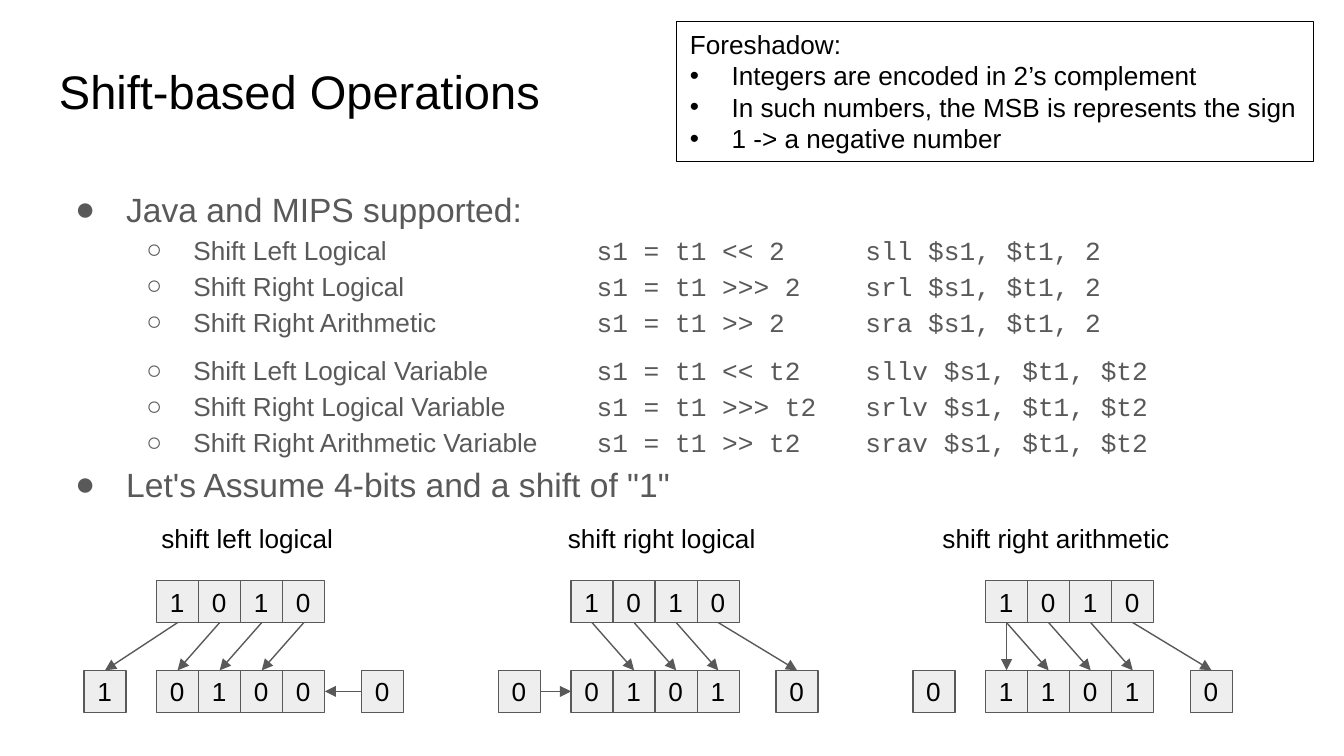
from pptx import Presentation
from pptx.dml.color import RGBColor
from pptx.enum.shapes import MSO_CONNECTOR as CONN, MSO_SHAPE as SHAPE
from pptx.enum.text import MSO_ANCHOR as ANCHOR, PP_ALIGN as ALIGN
from pptx.oxml.ns import qn
from pptx.util import Inches, Pt
from lxml.etree import SubElement

BLACK = RGBColor(0x00, 0x00, 0x00)
GRAY = RGBColor(0x59, 0x59, 0x59)
LIGHT = RGBColor(0xEE, 0xEE, 0xEE)

prs = Presentation()
prs.slide_width = Inches(10)
prs.slide_height = prs.slide_width * 9 // 16
s = prs.slides.add_slide(prs.slide_layouts[6])
U = prs.slide_width / 100


def add_box(left, top, width, height, fill=None, line=None, inset=1):
    at = [round(v * U) for v in (left, top, width, height)]
    if line is None:
        sp = s.shapes.add_textbox(*at)
    else:
        sp = s.shapes.add_shape(SHAPE.RECTANGLE, *at)
        sp.shadow.inherit = False
        sp.line.color.rgb = line
        sp.line.width = Pt(0.75)
        if fill is None:
            sp.fill.background()
        else:
            sp.fill.solid()
            sp.fill.fore_color.rgb = fill
    tf = sp.text_frame
    tf.word_wrap = True
    tf.margin_left = tf.margin_right = round(U)
    tf.margin_top = tf.margin_bottom = round(inset * U)
    return tf


def add_par(tf, runs, size, color=BLACK, align=ALIGN.LEFT, bullet=None, indent=(0, 0)):
    p = tf.paragraphs[0] if not tf.paragraphs[0].runs else tf.add_paragraph()
    p.alignment = align
    for text, font in runs:
        r = p.add_run()
        r.text = text
        r.font.name, r.font.size, r.font.color.rgb = font, Pt(size), color
    if bullet:
        pPr = p._p.get_or_add_pPr()
        pPr.set("marL", str(Inches(indent[0])))
        pPr.set("indent", str(Inches(indent[1])))
        pPr.set("defTabSz", str(Inches(1)))
        clr = SubElement(pPr, qn("a:buClr"))
        SubElement(clr, qn("a:srgbClr")).set("val", str(color))
        SubElement(pPr, qn("a:buFont")).set("typeface", "Arial")
        SubElement(pPr, qn("a:buChar")).set("char", bullet)
    return p


tf = add_box(3.41, 3.64, 93.18, 6.26)
add_par(tf, [("Shift-based Operations", "Arial")], 25.2)

body = [
    ("Java and MIPS supported:", None),
    ("Shift Left Logical\t\t", "s1 = t1 << 2\tsll $s1, $t1, 2"),
    ("Shift Right Logical\t\t", "s1 = t1 >>> 2\tsrl $s1, $t1, 2"),
    ("Shift Right Arithmetic\t\t", "s1 = t1 >> 2\tsra $s1, $t1, 2"),
    ("Shift Left Logical Variable\t", "s1 = t1 << t2\tsllv $s1, $t1, $t2"),
    ("Shift Right Logical Variable\t", "s1 = t1 >>> t2\tsrlv $s1, $t1, $t2"),
    ("Shift Right Arithmetic Variable\t", "s1 = t1 >> t2\tsrav $s1, $t1, $t2"),
    ("Let's Assume 4-bits and a shift of \"1\"", None),
]
tf = add_box(3.41, 12.62, 93.18, 37.4)
for name, code in body:
    if code:
        p = add_par(tf, [(name, "Arial"), (code, "Courier New")], 14, GRAY,
                    bullet="○", indent=(1, -0.35))
        p.level = 1
    else:
        p = add_par(tf, [(name, "Arial")], 18, GRAY, bullet="●", indent=(0.5, -0.38))
    p.line_spacing = 1.15
tf.paragraphs[3].space_after = Pt(6.7)

CELL, TOP, BOTTOM, STEP = 3.13, 43.2, 49.88, 30.84
SLOTS = [0] + [5.4 + k * CELL for k in range(4)] + [20.65]
LEFTWARD = [(1, 0), (2, 1), (3, 2), (4, 3)]
RIGHTWARD = [(1, 2), (2, 3), (3, 4), (4, 5)]
panels = [
    ("shift left logical", 3.1, 18.1, "101000", LEFTWARD, (5, 4)),
    ("shift right logical", 3.1, 18.1, "001010", RIGHTWARD, (0, 1)),
    ("shift right arithmetic", -0.2, 21.7, "011010", RIGHTWARD + [(1, 1)], None),
]
for i, (label, offset, width, result, moves, feed) in enumerate(panels):
    x = [6.25 + i * STEP + slot for slot in SLOTS]
    cells = [(x[k + 1], TOP, bit) for k, bit in enumerate("1010")]
    cells += [(x[k], BOTTOM, bit) for k, bit in enumerate(result)]
    for left, top, bit in cells:
        tf = add_box(left, top, CELL, CELL, LIGHT, GRAY)
        tf.vertical_anchor = ANCHOR.MIDDLE
        add_par(tf, [(bit, "Arial")], 14)

    tf = add_box(x[0] + offset, 37.9, width, 4.4)
    add_par(tf, [(label, "Arial")], 14, align=ALIGN.CENTER)

    half = CELL / 2
    arrows = [(x[a] + half, TOP + CELL, x[b] + half, BOTTOM) for a, b in moves]
    if feed:
        a, b = feed
        y = BOTTOM + half
        arrows.append((x[a] + CELL * (a < b), y, x[b] + CELL * (a > b), y))
    for ends in arrows:
        c = s.shapes.add_connector(CONN.STRAIGHT, *[round(v * U) for v in ends])
        c.line.color.rgb = GRAY
        c.line.width = Pt(0.75)
        SubElement(c.line._get_or_add_ln(), qn("a:tailEnd")).set("type", "triangle")
        SubElement(c._element.spPr, qn("a:effectLst"))

tf = add_box(50.35, 1.62, 47.4, 10.4, line=BLACK, inset=0.5)
tf.word_wrap = False
tf.vertical_anchor = ANCHOR.TOP
add_par(tf, [("Foreshadow:", "Arial")], 14)
for fact in ("Integers are encoded in 2’s complement",
             "In such numbers, the MSB is represents the sign",
             "1 -> a negative number"):
    add_par(tf, [(fact, "Arial")], 14, bullet="•", indent=(0.31, -0.31))

prs.save("out.pptx")
